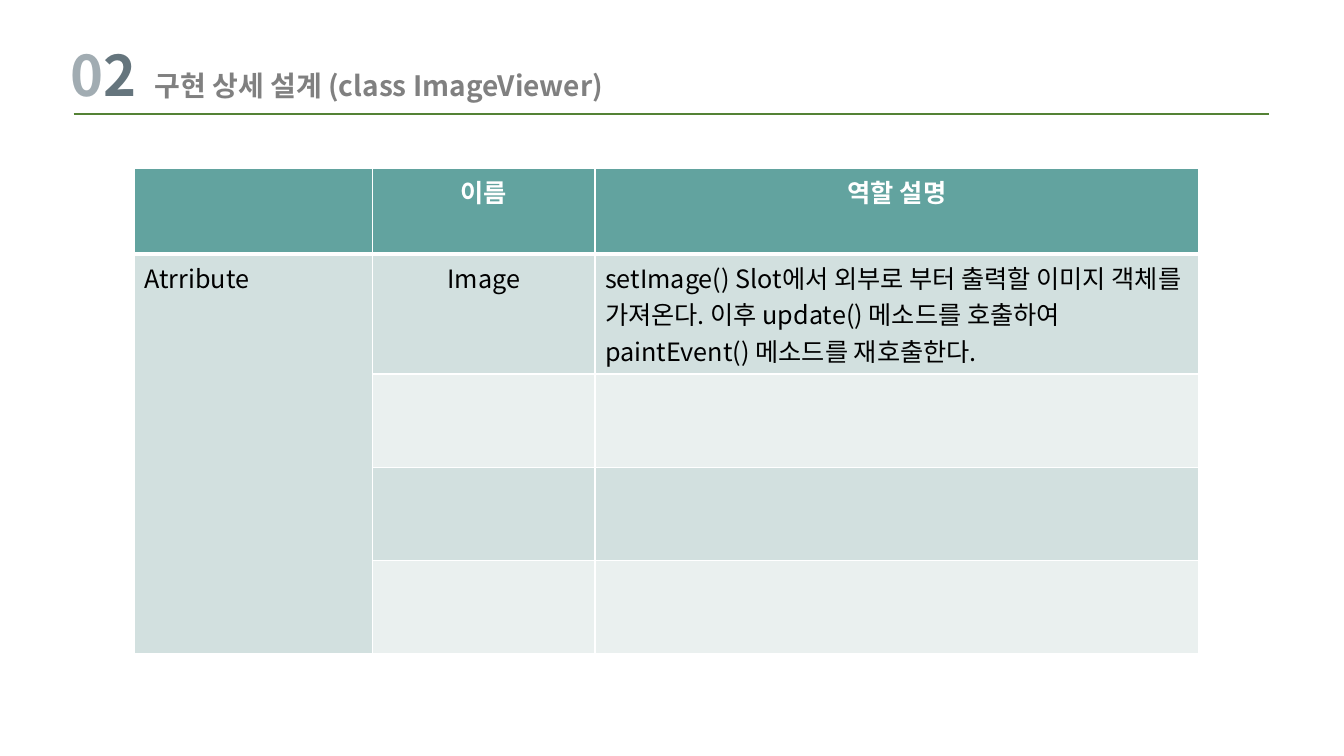
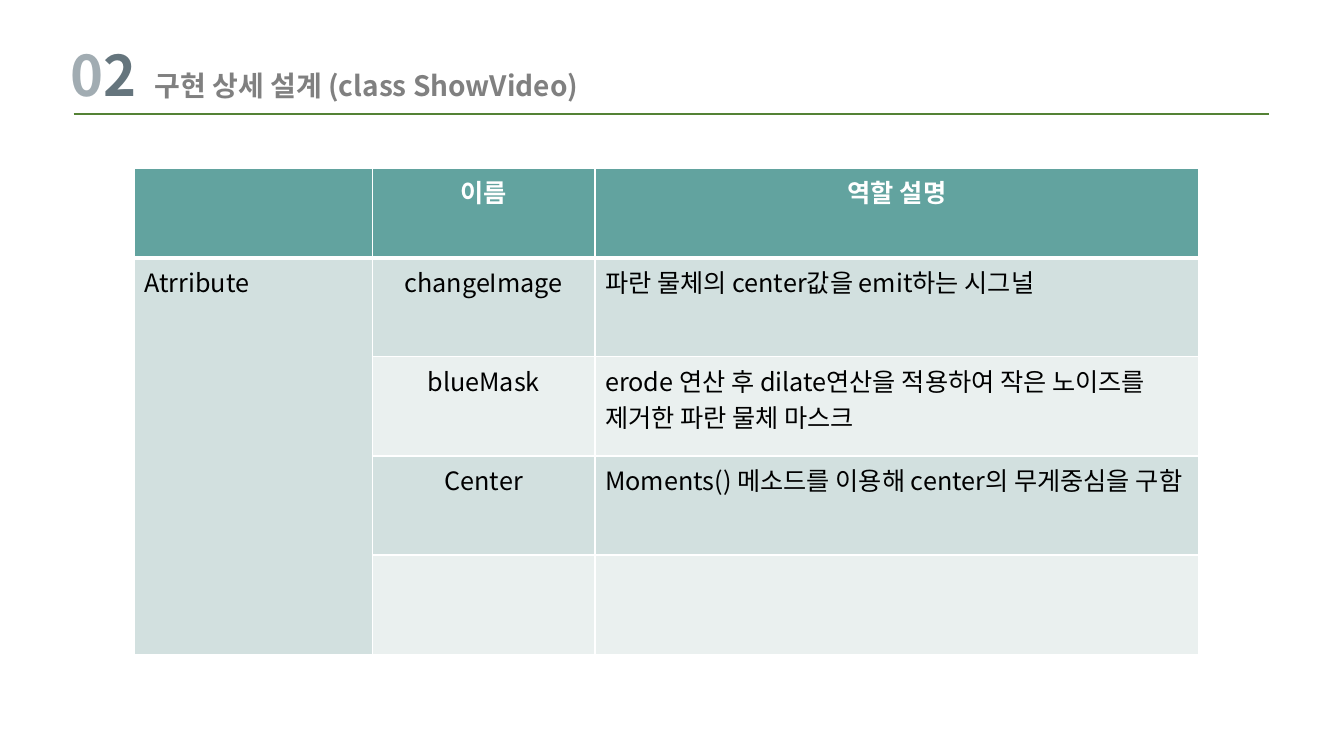
from lxml.etree import SubElement
from pptx import Presentation
from pptx.dml.color import RGBColor
from pptx.enum.shapes import MSO_CONNECTOR
from pptx.enum.text import MSO_ANCHOR, MSO_AUTO_SIZE, PP_ALIGN
from pptx.oxml.ns import qn
from pptx.util import Inches, Pt

FACE = "Noto Sans CJK KR"
WHITE, BLACK, GREY = "FFFFFF", "000000", "808080"
PALE, DARK, GREEN = "A1ACB2", "65757D", "548235"
TEAL, BANDS = "62A39F", ("D2E0DF", "EAF0EF")
COLS = (17.7, 16.58, 44.93)
DEPTH = 64.27
HEADS = ("", "이름", "역할 설명")

PAGES = [
    ("구현 상세 설계 (class ImageViewer)", (11.33, 15.87), [
        ("Image", "setImage() Slot에서 외부로 부터 출력할 이미지 객체를 가져온다. "
                  "이후 update() 메소드를 호출하여 paintEvent() 메소드를 재호출한다."),
        ("", ""), ("", ""), ("", "")]),
    ("구현 상세 설계 (class ShowVideo)", (11.87, 13.07), [
        ("changeImage", "파란 물체의 center값을 emit하는 시그널"),
        ("blueMask", "erode 연산 후 dilate연산을 적용하여 작은 노이즈를 제거한 파란 물체 마스크"),
        ("Center", "Moments() 메소드를 이용해 center의 무게중심을 구함"),
        ("", "")]),
]


def x(share):
    """Length as a percentage of the slide's width."""
    return Inches(13.33 * share / 100)


def y(share):
    """Length as a percentage of the slide's height."""
    return Inches(7.5 * share / 100)


def rgb(code):
    return RGBColor.from_string(code)


def style(font, size, color, bold):
    font.size, font.bold, font.name = Pt(size), bold, FACE
    font.color.rgb = rgb(color)
    SubElement(font._rPr, qn("a:ea"), typeface=FACE)


def title(slide, text):
    box = slide.shapes.title
    box.left, box.top, box.width, box.height = x(4.5), y(4.8), x(53.1), y(10.13)
    frame = box.text_frame
    frame.auto_size = MSO_AUTO_SIZE.NONE
    frame.vertical_anchor = MSO_ANCHOR.MIDDLE
    para = frame.paragraphs[0]
    para.alignment = PP_ALIGN.LEFT
    tabs = SubElement(para._p.get_or_add_pPr(), qn("a:tabLst"))
    SubElement(tabs, qn("a:tab"), pos=str(x(6.23)), algn="l")
    for part, size, color in (("0", 40, PALE), ("2", 40, DARK),
                              ("\t" + text, 20, GREY)):
        run = para.add_run()
        run.text = part
        style(run.font, size, color, True)


def rule(slide):
    line = slide.shapes.add_connector(
        MSO_CONNECTOR.STRAIGHT, x(5.48), y(15.07), x(94.45), y(15.07))
    line.line.color.rgb = rgb(GREEN)
    line.line.width = Pt(1.75)
    SubElement(line._element.spPr, qn("a:effectLst"))


def edge(cell, side, width):
    line = SubElement(cell._tc.get_or_add_tcPr(), qn("a:ln" + side),
                      w=str(Pt(width)))
    fill = SubElement(line, qn("a:solidFill"))
    SubElement(fill, qn("a:srgbClr"), val=WHITE)


def fill(cell, row, col, text):
    """Set a cell's borders, band colour and text by its place in the table."""
    head = row == 0
    for side in "LRTB":
        thick = (row, side) in ((0, "B"), (1, "T"))
        edge(cell, side, 3 if thick else 0.96)
    band = BANDS[0] if col == 0 else BANDS[(row - 1) % 2]
    cell.fill.solid()
    cell.fill.fore_color.rgb = rgb(TEAL if head else band)
    para = cell.text_frame.paragraphs[0]
    para.text = text
    para.alignment = PP_ALIGN.CENTER if head or col == 1 else PP_ALIGN.LEFT
    style(para.font, 18, WHITE if head else BLACK, head)


def table(slide, sizes, items):
    """Draw the table; rows after the sized ones share the rest evenly."""
    rows = [HEADS] + [("" if i else "Atrribute", *item)
                      for i, item in enumerate(items)]
    grid = slide.shapes.add_table(len(rows), len(COLS), x(10), y(22.27),
                                  x(sum(COLS)), y(DEPTH)).table
    for col, width in zip(grid.columns, COLS):
        col.width = x(width)
    rest = (DEPTH - sum(sizes)) / (len(rows) - len(sizes))
    for r, texts in enumerate(rows):
        grid.rows[r].height = y(sizes[r] if r < len(sizes) else rest)
        for c, text in enumerate(texts):
            fill(grid.cell(r, c), r, c, text)
    grid.cell(1, 0).merge(grid.cell(len(rows) - 1, 0))


def main():
    deck = Presentation()
    deck.slide_width, deck.slide_height = x(100), y(100)
    for text, sizes, items in PAGES:
        slide = deck.slides.add_slide(deck.slide_layouts[5])
        table(slide, sizes, items)
        rule(slide)
        title(slide, text)
    deck.save("out.pptx")


if __name__ == "__main__":
    main()
